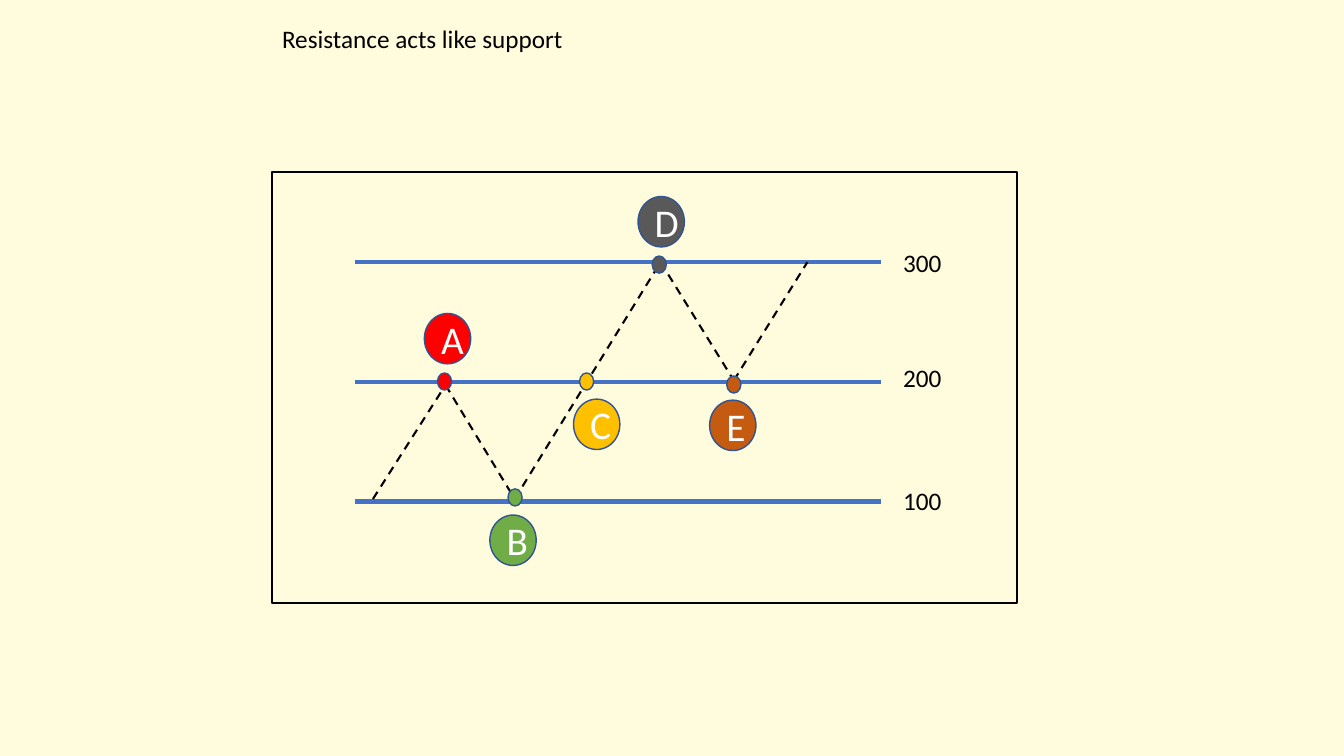
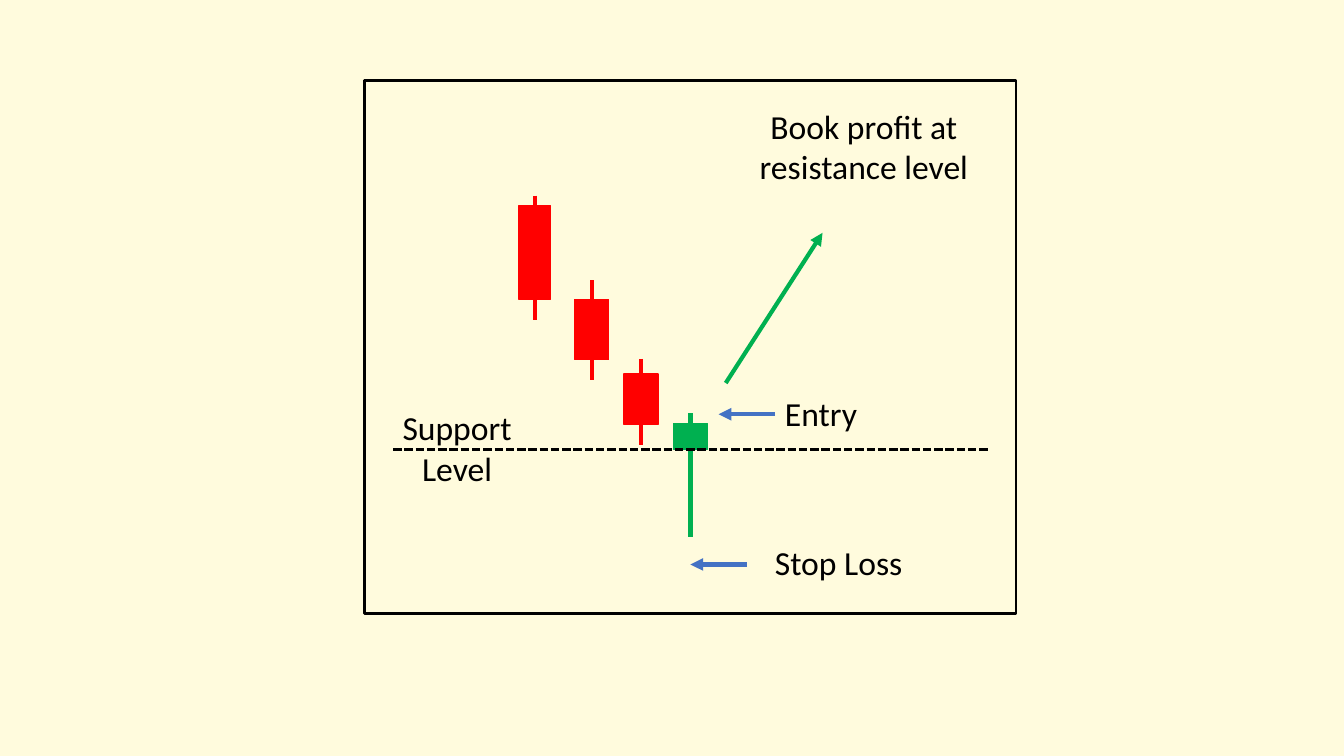
"""Build two slides on support and resistance levels."""
from itertools import pairwise

from lxml import etree
from pptx import Presentation
from pptx import util as u
from pptx.dml.color import RGBColor
from pptx.enum import dml, shapes, text
from pptx.oxml.ns import qn

W, H = u.Inches(13.33), u.Inches(7.5)
COL, ROW = W / 40, H / 30

CREAM = RGBColor(0xFF, 0xFB, 0xDD)
BLACK = RGBColor(0x00, 0x00, 0x00)
WHITE = RGBColor(0xFF, 0xFF, 0xFF)
BLUE = RGBColor(0x44, 0x72, 0xC4)
NAVY = RGBColor(0x32, 0x54, 0x91)
RED = RGBColor(0xFF, 0x00, 0x00)
LEAF = RGBColor(0x70, 0xAD, 0x47)
GOLD = RGBColor(0xFF, 0xC0, 0x00)
GREY = RGBColor(0x59, 0x59, 0x59)
RUST = RGBColor(0xC5, 0x5A, 0x11)
GREEN = RGBColor(0x00, 0xB0, 0x50)

FONT = "Calibri"
RECT = shapes.MSO_SHAPE.RECTANGLE
OVAL = shapes.MSO_SHAPE.OVAL
DASH = dml.MSO_LINE.DASH
SYS_DASH = dml.MSO_LINE.SQUARE_DOT
LEFT, CENTER = text.PP_ALIGN.LEFT, text.PP_ALIGN.CENTER


def grid(x, y):
    return round(x * COL), round(y * ROW)


def add_slide(prs):
    s = prs.slides.add_slide(prs.slide_layouts[6])
    s.background.fill.solid()
    s.background.fill.fore_color.rgb = CREAM
    return s


def write(sp, words, size, color, align):
    p = sp.text_frame.paragraphs[0]
    p.text = words
    p.alignment = align
    for r in p.runs:
        r.font.name, r.font.size = FONT, u.Pt(size)
        r.font.color.rgb = color


def add_label(s, words, x, y, w, h, size=24, align=CENTER):
    sp = s.shapes.add_textbox(*grid(x, y), *grid(w, h))
    tf = sp.text_frame
    tf.word_wrap = True
    tf.auto_size = text.MSO_AUTO_SIZE.SHAPE_TO_FIT_TEXT
    write(sp, words, size, BLACK, align)


def add_box(s, kind, x, y, w, h, fill, line, width=1):
    sp = s.shapes.add_shape(kind, *grid(x, y), *grid(w, h))
    sp.shadow.inherit = False
    if fill is None:
        sp.fill.background()
    else:
        sp.fill.solid()
        sp.fill.fore_color.rgb = fill
    sp.line.color.rgb = line
    sp.line.width = u.Pt(width)
    return sp


def add_line(s, start, end, color, width=3, dash=None, arrow=False):
    sp = s.shapes.add_connector(shapes.MSO_CONNECTOR.STRAIGHT, *grid(*start), *grid(*end))
    sp.line.color.rgb = color
    sp.line.width = u.Pt(width)
    if dash is not None:
        sp.line.dash_style = dash
    if arrow:
        etree.SubElement(sp.line._get_or_add_ln(), qn("a:tailEnd"), type="triangle")
    etree.SubElement(sp._element.spPr, qn("a:effectLst"))


def add_marker(s, letter, color, badge, dot):
    sp = add_box(s, OVAL, *badge, 1.38, 2, color, NAVY)
    sp.text_frame.vertical_anchor = text.MSO_ANCHOR.MIDDLE
    sp.text_frame.word_wrap = True
    write(sp, letter, 28, WHITE, CENTER)
    add_box(s, OVAL, *dot, 0.42, 0.68, color, NAVY)


def add_candle(s, color, x, y, w, h, high, low):
    group = s.shapes.add_group_shape()
    add_box(group, RECT, x, y, w, h, color, color)
    mid = x + w / 2
    add_line(group, (mid, high), (mid, low), color)


def build_resistance(prs):
    s = add_slide(prs)
    add_box(s, RECT, 8.1, 6.84, 22.17, 17.08, None, BLACK, 1.5)
    for i, (price, top) in enumerate((("300", 9.6), ("200", 14.2), ("100", 19.08))):
        y = 10.4 + 4.75 * i
        add_line(s, (10.56, y), (26.22, y), BLUE)
        add_label(s, price, 26.58, top, 3.39, 1.6, 18, LEFT)
    trend = ((11.1, 19.8), (13.26, 15.28), (15.32, 19.8),
             (19.66, 10.4), (21.84, 15.1), (24.03, 10.4))
    for start, end in pairwise(trend):
        add_line(s, start, end, BLACK, 1.5, DASH)
    for marker in (
        ("A", RED, (12.63, 12.44), (13.02, 14.8)),
        ("B", LEAF, (14.58, 20.44), (15.12, 19.4)),
        ("C", GOLD, (17.07, 15.84), (17.25, 14.8)),
        ("D", GREY, (18.99, 7.8), (19.41, 10.16)),
        ("E", RUST, (21.12, 15.88), (21.63, 14.92)),
    ):
        add_marker(s, *marker)
    add_label(s, "Resistance acts like support", 8.1, 0.72, 10.38, 1.6, 18, LEFT)


def build_trade(prs):
    s = add_slide(prs)
    add_box(s, RECT, 10.86, 3.2, 19.38, 21.16, None, BLACK, 2)
    for candle in (
        (GREEN, 20.04, 16.8, 1.02, 1.04, 16.4, 21.32),
        (RED, 18.57, 14.84, 1.02, 2, 14.24, 17.64),
        (RED, 17.1, 11.88, 1.02, 2.4, 11.12, 15.08),
        (RED, 15.45, 8.16, 0.93, 3.72, 7.76, 12.68),
    ):
        add_candle(s, *candle)
    add_line(s, (11.7, 17.84), (29.4, 17.84), BLACK, 2, SYS_DASH)
    for label in (
        ("Book profit at resistance level", 22.02, 4, 7.38, 5.24),
        ("Support Level", 11.19, 15.96, 4.83, 3.64),
        ("Entry", 22.02, 15.4, 4.83, 2),
        ("Stop Loss", 21.6, 21.32, 6.72, 2),
    ):
        add_label(s, *label)
    for start, end, color in (
        ((23.07, 16.44), (21.39, 16.44), BLUE),
        ((22.23, 22.4), (20.55, 22.4), BLUE),
        ((21.6, 15.2), (24.48, 9.24), GREEN),
    ):
        add_line(s, start, end, color, arrow=True)


def main():
    prs = Presentation()
    prs.slide_width, prs.slide_height = W, H
    build_resistance(prs)
    build_trade(prs)
    prs.save("out.pptx")


if __name__ == "__main__":
    main()
